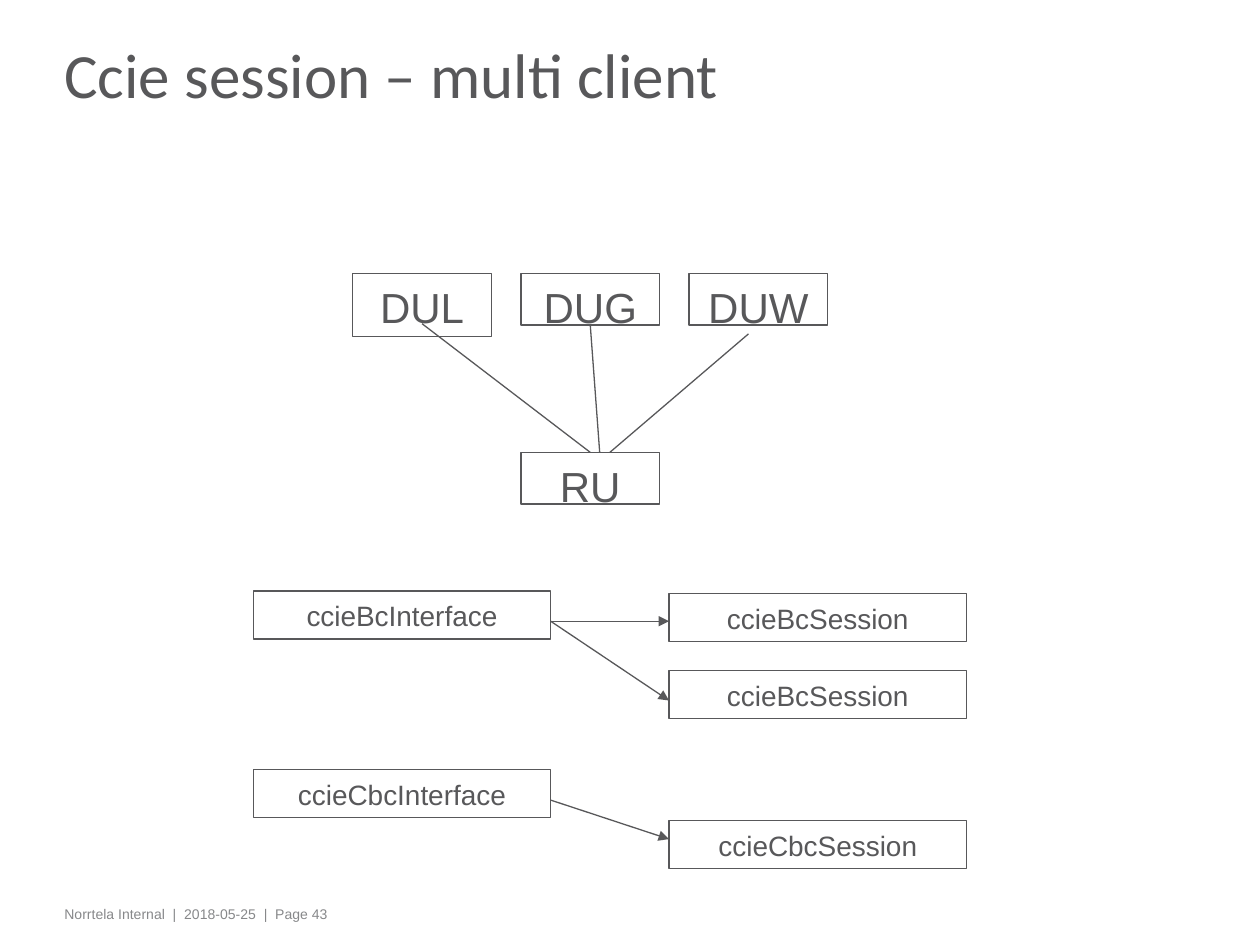
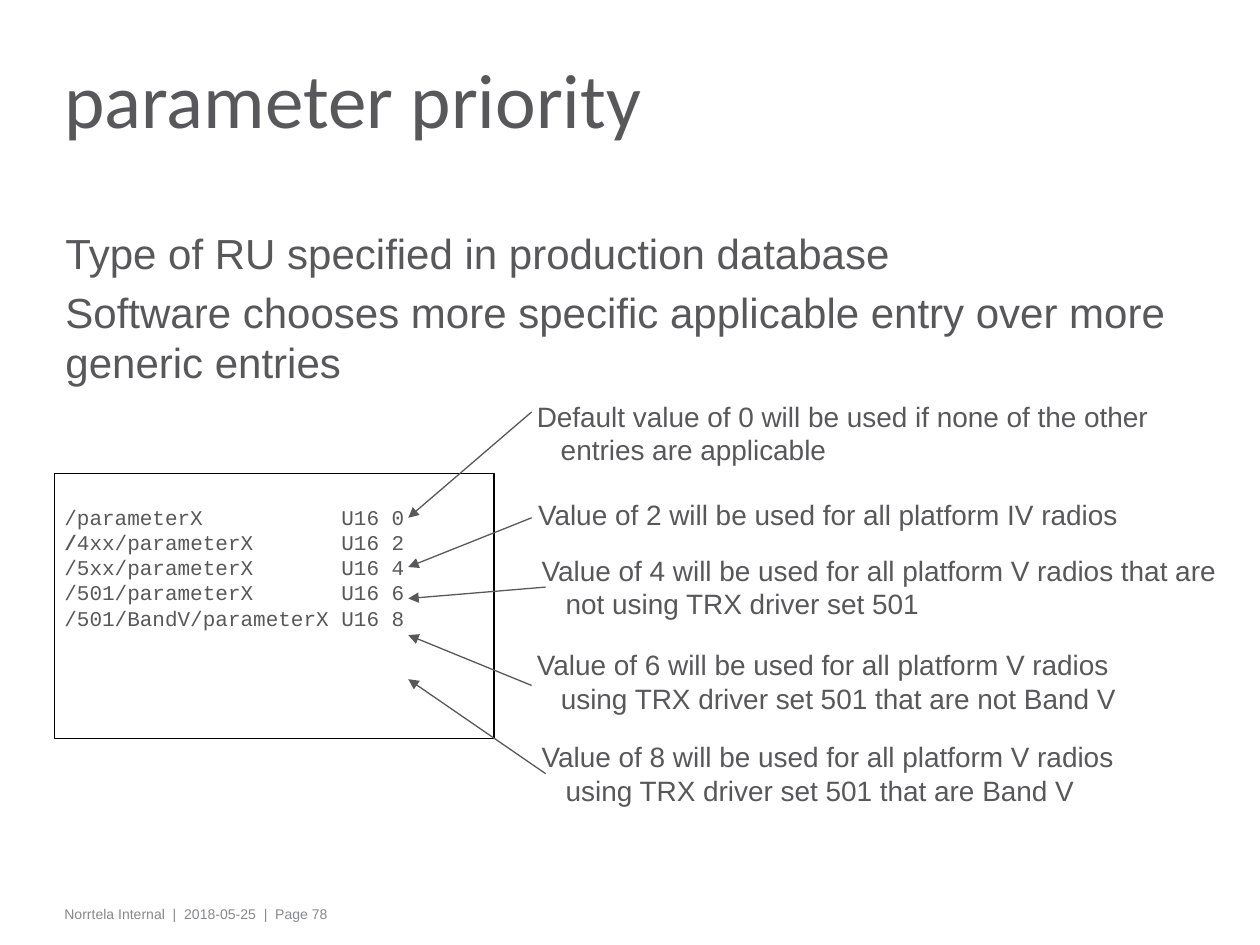
from lxml import etree
from pptx import Presentation
from pptx.dml.color import RGBColor
from pptx.enum import shapes, text
from pptx.oxml import ns
from pptx.util import Pt

COLORS = {"ink": "58585A", "muted": "87888A", "frame": "000000"}
LINE_WIDTH = 0.75
LINE_HEIGHT = 1.2
HANGING = 13.7
SIDE_INSET = 5.76
FOOTER = "Norrtela Internal  |  2018-05-25  |  Page {}"


class Deck:
    def __init__(self):
        self.prs = Presentation()
        self.prs.slide_width, self.prs.slide_height = Pt(720), Pt(540)
        self.slide = None

    def new_slide(self, title, title_size, title_height, page):
        self.slide = self.prs.slides.add_slide(self.prs.slide_layouts[5])
        heading = self.slide.shapes.title
        place = {"left": 31, "top": 18.7, "width": 590.4, "height": title_height}
        for name, value in place.items():
            setattr(heading, name, Pt(value))
        self.fill_frame(heading.text_frame, [title], title_size, font="Calibri",
                        spacing=0.75, anchor=text.MSO_ANCHOR.MIDDLE)
        self.textbox((31, 514.1, 582.5, 17.3), [FOOTER.format(page)], 8,
                     color="muted", top_inset=3.6)

    def fill_frame(self, frame, lines, size, font="Arial", color="ink", spacing=None,
                   anchor=text.MSO_ANCHOR.TOP, align=text.PP_ALIGN.LEFT,
                   top_inset=0, gap=0, hanging=False):
        """Write one paragraph per line; a line may be a list of (text, bold) runs."""
        layout = {"word_wrap": True, "auto_size": text.MSO_AUTO_SIZE.NONE,
                  "vertical_anchor": anchor,
                  "margin_left": Pt(SIDE_INSET), "margin_right": Pt(SIDE_INSET),
                  "margin_top": Pt(top_inset), "margin_bottom": 0}
        for name, value in layout.items():
            setattr(frame, name, value)
        for number, line in enumerate(lines):
            paragraph = frame.add_paragraph() if number else frame.paragraphs[0]
            if hanging:
                properties = paragraph._p.get_or_add_pPr()
                properties.set("marL", str(Pt(HANGING)))
                properties.set("indent", str(-Pt(HANGING)))
            paragraph.alignment = align
            paragraph.line_spacing = spacing or Pt(size * LINE_HEIGHT)
            if number and gap:
                paragraph.space_before = Pt(gap)
            if isinstance(line, str):
                paragraph.text = line
            else:
                for words, bold in line:
                    run = paragraph.add_run()
                    run.text, run.font.bold = words, bold
            for run_font in [paragraph.font] + [run.font for run in paragraph.runs]:
                run_font.name, run_font.size = font, Pt(size)
                run_font.color.rgb = RGBColor.from_string(COLORS[color])

    def textbox(self, box, lines, size, **style):
        holder = self.slide.shapes.add_textbox(*map(Pt, box))
        self.fill_frame(holder.text_frame, lines, size, **style)

    def outline(self, item, color="ink"):
        item.line.color.rgb = RGBColor.from_string(COLORS[color])
        item.line.width = Pt(LINE_WIDTH)

    def rectangle(self, box, lines, size, border="ink", **style):
        block = self.slide.shapes.add_shape(shapes.MSO_SHAPE.RECTANGLE, *map(Pt, box))
        block.shadow.inherit = False
        block.fill.background()
        self.outline(block, border)
        self.fill_frame(block.text_frame, lines, size, **style)
        return block

    def node(self, box, label, size):
        return self.rectangle(box, [label], size, align=text.PP_ALIGN.CENTER,
                              top_inset=4.5)

    def connect(self, start, end, arrow=True, source=None, target=None):
        """Draw a line; source leaves from its bottom and target joins at its top."""
        line = self.slide.shapes.add_connector(
            shapes.MSO_CONNECTOR.STRAIGHT, *map(Pt, start + end))
        self.outline(line)
        if source is not None:
            line.begin_connect(source, 2)
        if target is not None:
            line.end_connect(target, 0)
        if arrow:
            etree.SubElement(line.line._get_or_add_ln(), ns.qn("a:tailEnd"),
                             type="triangle")
        etree.SubElement(line._element.spPr, ns.qn("a:effectLst"))


def build_session_slide(deck):
    deck.new_slide("Ccie session – multi client", 36, 55.4, 43)

    unit_width, unit_height, unit_top = 79.2, 29.5, 156.2
    unit_left, unit_pitch = 201.6, 96.1
    dul, dug, duw = [
        deck.node((unit_left + unit_pitch * column, unit_top, unit_width, height), name, 24)
        for column, (name, height) in enumerate(
            [("DUL", 36), ("DUG", unit_height), ("DUW", unit_height)])]
    radio = deck.node((unit_left + unit_pitch, 258.5, unit_width, unit_height), "RU", 24)
    deck.connect((241.2, 185), (337.7, 258.5), arrow=False, target=radio)
    deck.connect((337.7, 185), (342.7, 258.5), arrow=False, source=dug)
    deck.connect((427.7, 190.8), (348.5, 258.5), arrow=False)

    interface_left, session_left, width, height = 144.7, 382.3, 170, 27.4
    for left, top, name in [
            (interface_left, 337.7, "ccieBcInterface"),
            (interface_left, 439.9, "ccieCbcInterface"),
            (session_left, 339.1, "ccieBcSession"),
            (session_left, 383, "ccieBcSession"),
            (session_left, 468.7, "ccieCbcSession")]:
        deck.node((left, top, width, height), name, 16)
    for start_y, end_y in [(355, 355), (355, 400.3), (457.2, 479.5)]:
        deck.connect((interface_left + width, start_y), (session_left, end_y))


def build_priority_slide(deck):
    deck.new_slide("parameter priority", 44, 85.7, 78)
    deck.textbox((31.7, 128.9, 657.4, 303), [
        "Type of RU specified in production database",
        "Software chooses more specific applicable entry over more generic entries",
    ], 24, top_inset=1, gap=4.8)

    deck.rectangle((31, 270.7, 251.3, 151.2), [
        "/parameterX           U16 0",
        [("/", True), ("4xx/parameterX       U16 2", False)],
        "/5xx/parameterX       U16 4",
        "/501/parameterX       U16 6",
        "/501/BandV/parameterX U16 8",
    ], 12, border="frame", font="Courier New", top_inset=17.5, hanging=True)

    arrow_tip = 233.3
    notes = [
        ((301, 228.2, 390, 38.9), (303.8, 235.4), 295.9,
         "Default value of 0 will be used if none of the other entries are applicable"),
        ((301.7, 284.4, 350, 19.2), (303.8, 295.9), 324,
         "Value of 2 will be used for all platform IV radios"),
        ((303.8, 316.1, 406, 38.9), (311.8, 335.5), 342,
         "Value of 4 will be used for all platform V radios that are\v"
         "not using TRX driver set 501"),
        ((301, 370.1, 350, 38.9), (303.8, 391.7), 362.9,
         "Value of 6 will be used for all platform V radios\v"
         "using TRX driver set 501 that are not Band V"),
        ((303.8, 422.6, 350, 38.9), (311.8, 442.1), 388.1,
         "Value of 8 will be used for all platform V radios\v"
         "using TRX driver set 501 that are Band V"),
    ]
    for box, arrow_start, tip_y, note in notes:
        deck.textbox(box, [note], 16, hanging=True)
        deck.connect(arrow_start, (arrow_tip, tip_y))


def main():
    deck = Deck()
    build_session_slide(deck)
    build_priority_slide(deck)
    deck.prs.save("out.pptx")


if __name__ == "__main__":
    main()
